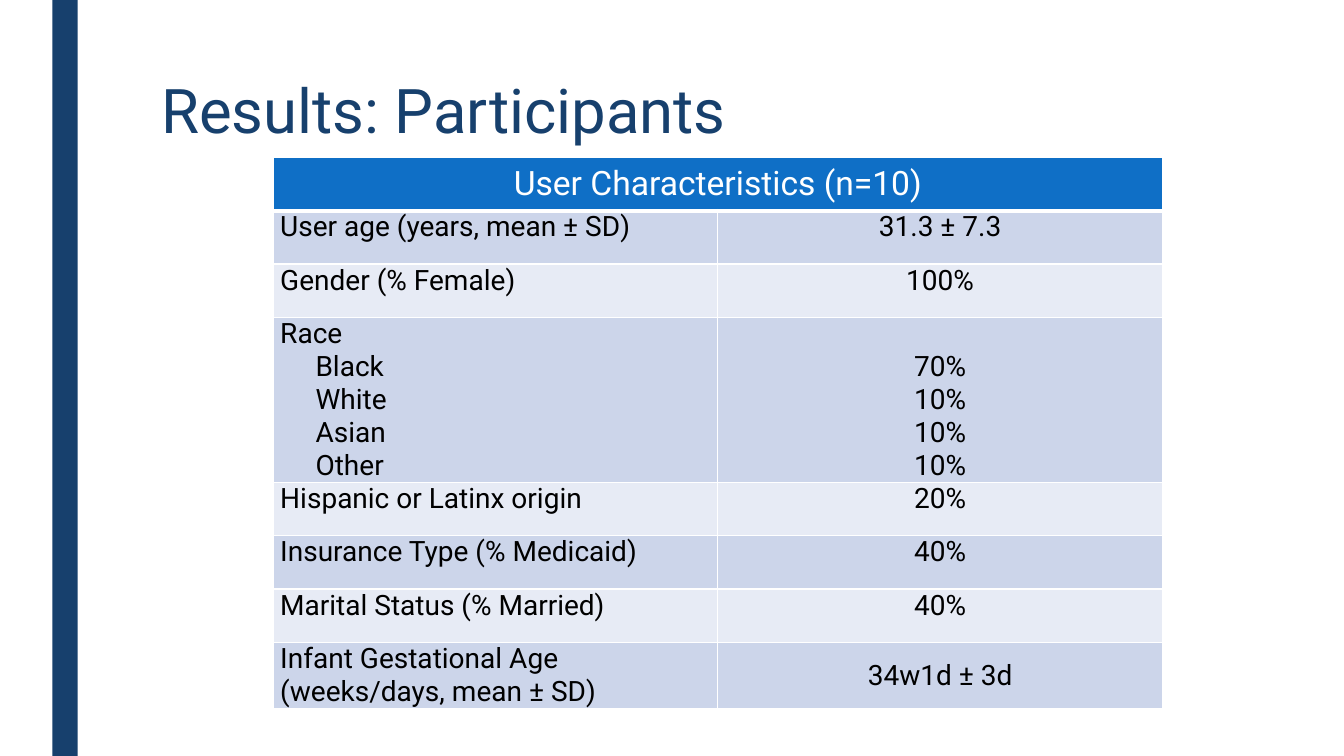
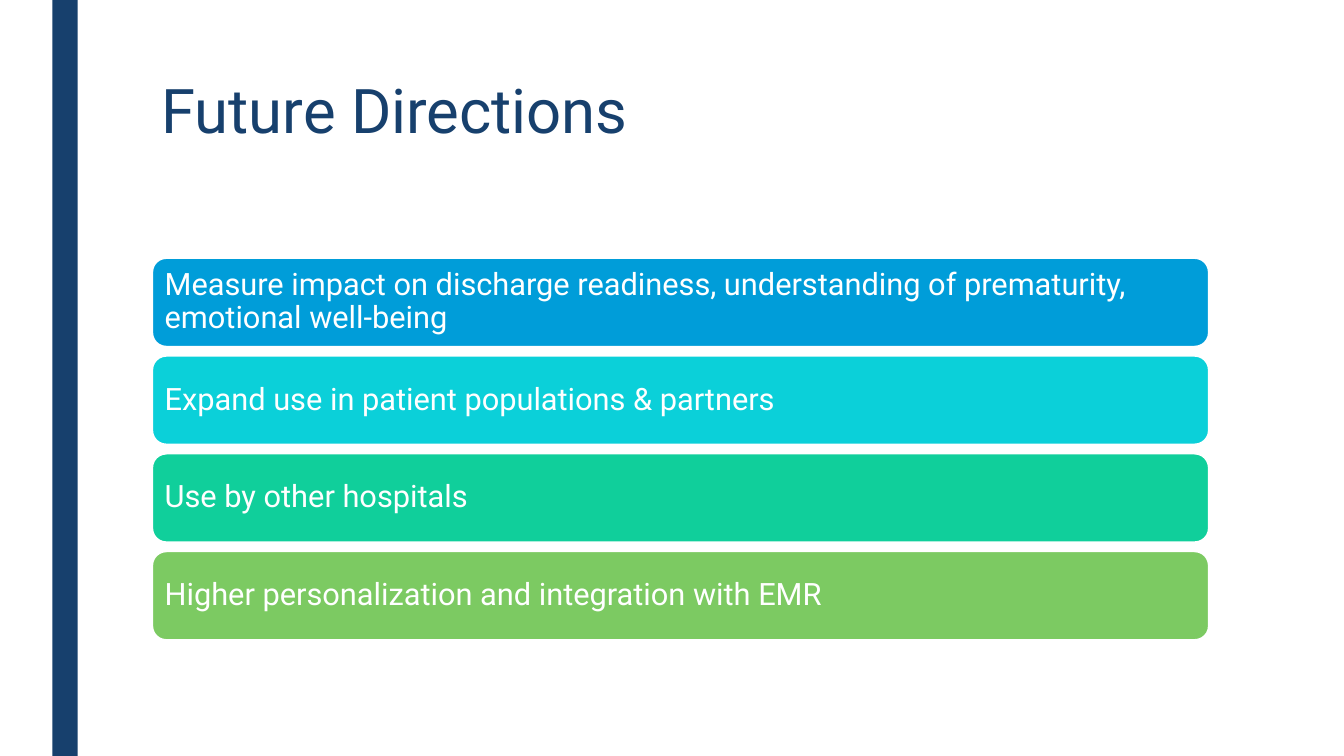
"""Build two slides: participant characteristics and future directions."""
from dataclasses import dataclass

from lxml import etree
from pptx import Presentation
from pptx.dml.color import RGBColor
from pptx.enum import shapes, text
from pptx.oxml import ns
from pptx.util import Inches, Pt


@dataclass(frozen=True)
class Theme:
    font: str = "Roboto"
    navy: str = "17406D"
    header: str = "0F6FC6"
    bands: tuple = ("CCD5EA", "E7EBF5")
    cards: tuple = ("009DD9", "0BD0D9", "10CF9B", "7CCA62")
    white: str = "FFFFFF"
    black: str = "000000"
    title_size: int = 44
    header_size: int = 24
    card_size: int = 22
    body_size: int = 20


THEME = Theme()
LEFT, CENTER = text.PP_ALIGN.LEFT, text.PP_ALIGN.CENTER
TOP, MIDDLE, BOTTOM = (
    text.MSO_ANCHOR.TOP, text.MSO_ANCHOR.MIDDLE, text.MSO_ANCHOR.BOTTOM)

TABLE_HEADER = "User Characteristics (n=10)"
HEADER_HEIGHT = 0.53
CHARACTERISTICS = [
    (["User age (years, mean ± SD)"], ["31.3 ± 7.3"], 0.53, TOP),
    (["Gender (% Female)"], ["100%"], 0.53, TOP),
    (["Race", "Black", "White", "Asian", "Other"],
     ["70%", "10%", "10%", "10%"], 1.63, BOTTOM),
    (["Hispanic or Latinx origin"], ["20%"], 0.53, TOP),
    (["Insurance Type (% Medicaid)"], ["40%"], 0.53, TOP),
    (["Marital Status (% Married)"], ["40%"], 0.53, TOP),
    (["Infant Gestational Age", "(weeks/days, mean ± SD)"],
     ["34w1d ± 3d"], 0.66, MIDDLE),
]
DIRECTIONS = [
    "Measure impact on discharge readiness, understanding of prematurity, "
    "emotional well-being",
    "Expand use in patient populations & partners",
    "Use by other hospitals",
    "Higher personalization and integration with EMR",
]


def fill_solid(target, color):
    target.fill.solid()
    target.fill.fore_color.rgb = RGBColor.from_string(color)


def write(frame, lines, size, color, align=LEFT, spacing=None):
    for index, line in enumerate(lines):
        paragraph = frame.paragraphs[0] if index == 0 else frame.add_paragraph()
        paragraph.alignment = align
        if spacing:
            paragraph.line_spacing = spacing
        run = paragraph.add_run()
        run.text = line
        run.font.name = THEME.font
        run.font.size = Pt(size)
        run.font.bold = False
        run.font.color.rgb = RGBColor.from_string(color)


def add_titled_slide(presentation, title):
    slide = presentation.slides.add_slide(presentation.slide_layouts[5])
    bar = slide.shapes.add_shape(
        shapes.MSO_SHAPE.RECTANGLE, Inches(0.52), 0, Inches(0.25),
        presentation.slide_height)
    bar.shadow.inherit = False
    fill_solid(bar, THEME.navy)
    bar.line.fill.background()
    heading = slide.shapes.title
    heading.left, heading.top = Inches(1.5), Inches(0.75)
    heading.width, heading.height = Inches(10.5), Inches(1.62)
    frame = heading.text_frame
    frame.auto_size = text.MSO_AUTO_SIZE.NONE
    frame.vertical_anchor = TOP
    write(frame, [title], THEME.title_size, THEME.navy, spacing=0.89)
    return slide


def set_borders(cell, bottom=1):
    properties = cell._tc.get_or_add_tcPr()
    widths = {"lnL": 1, "lnR": 1, "lnT": 1, "lnB": bottom}
    for index, (side, width) in enumerate(widths.items()):
        line = etree.Element(ns.qn(f"a:{side}"), w=str(Pt(width)))
        solid = etree.SubElement(line, ns.qn("a:solidFill"))
        etree.SubElement(solid, ns.qn("a:srgbClr"), val=THEME.white)
        properties.insert(index, line)


def style_body_cell(cell, lines, fill, align, anchor):
    cell.margin_left = cell.margin_right = Inches(0.07)
    cell.margin_top = cell.margin_bottom = 0
    cell.vertical_anchor = anchor
    fill_solid(cell, fill)
    set_borders(cell)
    write(cell.text_frame, lines, THEME.body_size, THEME.black, align)


def add_characteristics(slide):
    heights = [HEADER_HEIGHT] + [row[2] for row in CHARACTERISTICS]
    table = slide.shapes.add_table(
        len(heights), 2, Inches(2.71), Inches(1.56), Inches(8.82),
        Inches(sum(heights))).table
    table.first_row = table.horz_banding = False
    for row, height in zip(table.rows, heights):
        row.height = Inches(height)
    header = table.cell(0, 0)
    header.merge(table.cell(0, 1))
    header.vertical_anchor = MIDDLE
    for column in range(2):
        cell = table.cell(0, column)
        fill_solid(cell, THEME.header)
        set_borders(cell, bottom=3)
    write(header.text_frame, [TABLE_HEADER], THEME.header_size, THEME.white, CENTER)
    for index, (labels, values, _, anchor) in enumerate(CHARACTERISTICS):
        fill = THEME.bands[index % 2]
        label_cell, value_cell = table.cell(index + 1, 0), table.cell(index + 1, 1)
        style_body_cell(label_cell, labels, fill, LEFT, TOP)
        style_body_cell(value_cell, values, fill, CENTER, anchor)
        if labels[0] == "Race":
            for paragraph in label_cell.text_frame.paragraphs[1:]:
                paragraph._p.get_or_add_pPr().set("marL", str(Inches(0.35)))


def add_directions(slide):
    top, height, gap = 2.55, 0.9, 0.07
    for index, (direction, color) in enumerate(zip(DIRECTIONS, THEME.cards)):
        card = slide.shapes.add_shape(
            shapes.MSO_SHAPE.ROUNDED_RECTANGLE, Inches(1.5),
            Inches(top + index * (height + gap)), Inches(10.5), Inches(height))
        card.shadow.inherit = False
        fill_solid(card, color)
        card.line.color.rgb = RGBColor.from_string(THEME.white)
        card.line.width = Pt(2.75)
        frame = card.text_frame
        frame.word_wrap = True
        frame.vertical_anchor = MIDDLE
        frame.margin_left = frame.margin_right = Inches(0.09)
        write(frame, [direction], THEME.card_size, THEME.white, spacing=0.9)


def main():
    presentation = Presentation()
    presentation.slide_width = Inches(13.33)
    presentation.slide_height = Inches(7.5)
    add_characteristics(add_titled_slide(presentation, "Results: Participants"))
    add_directions(add_titled_slide(presentation, "Future Directions"))
    presentation.save("out.pptx")


if __name__ == "__main__":
    main()
